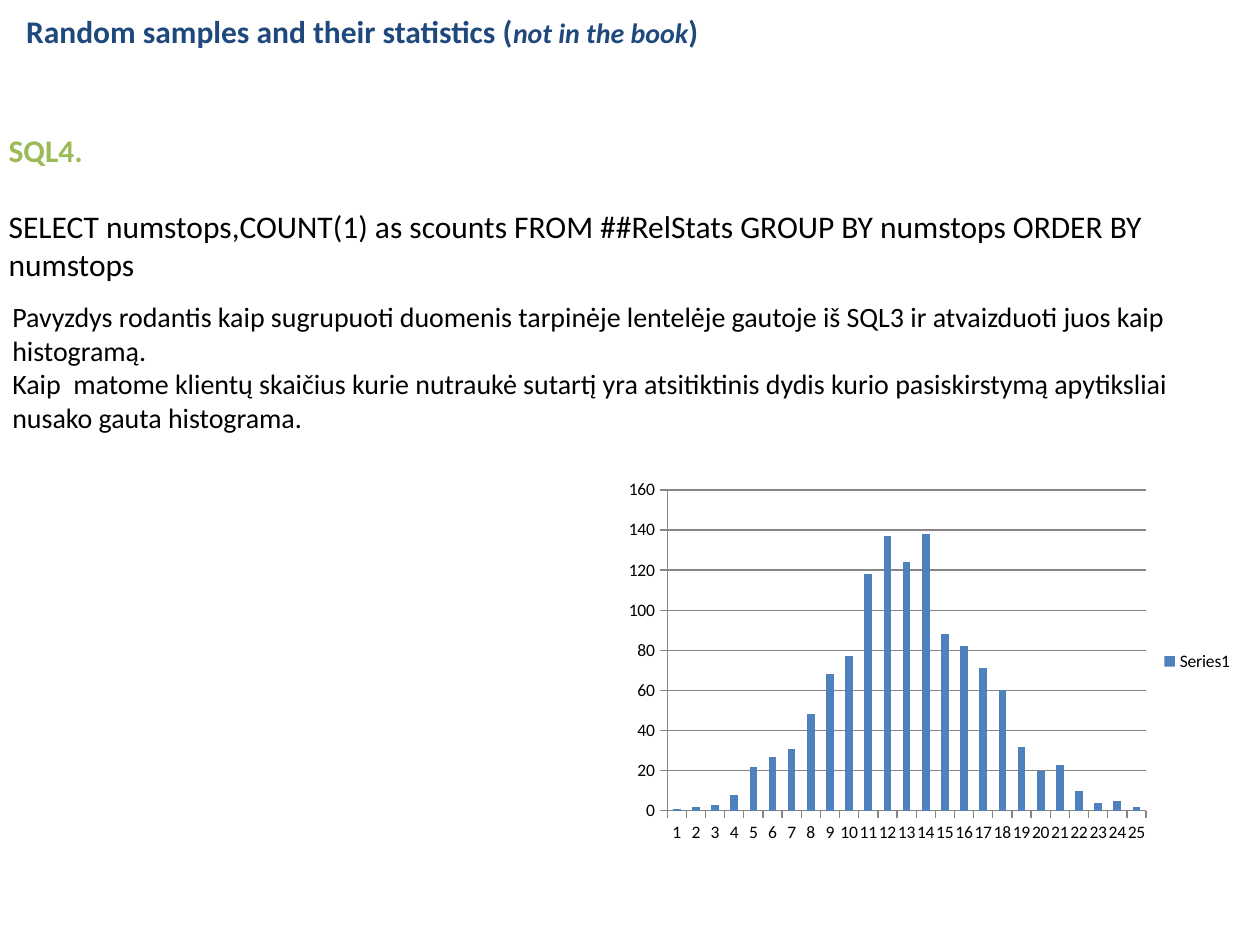
from pptx import Presentation
from pptx.chart.data import CategoryChartData
from pptx.dml.color import RGBColor
from pptx.enum.chart import XL_CHART_TYPE, XL_LEGEND_POSITION, XL_TICK_MARK
from pptx.enum.text import MSO_AUTO_SIZE
from pptx.util import Inches, Pt

COLUMNS = XL_CHART_TYPE.COLUMN_CLUSTERED
LEGEND_RIGHT = XL_LEGEND_POSITION.RIGHT
TICK_OUT = XL_TICK_MARK.OUTSIDE
FIT_SHAPE = MSO_AUTO_SIZE.SHAPE_TO_FIT_TEXT

COLORS = {"title": "1F497D", "label": "9BBB59", "text": "000000",
          "bar": "4F81BD", "axis": "868686"}
FONT = "Calibri"
STOP_COUNTS = [1, 2, 3, 8, 22, 27, 31, 48, 68, 77, 118, 137, 124, 138,
               88, 82, 71, 60, 32, 20, 23, 10, 4, 5, 2]


class SlideBuilder:
    def __init__(self, slide):
        self.s = slide

    def style(self, font, size, color="text", bold=False, italic=False):
        font.name, font.size = FONT, Pt(size)
        font.bold, font.italic = bold, italic
        font.color.rgb = RGBColor.from_string(COLORS[color])

    def text(self, left, top, width, height, paragraphs, wrap=True, gap=0):
        """Each paragraph is a list of (text, style) runs; gap is in points."""
        box = self.s.shapes.add_textbox(
            Inches(left), Inches(top), Inches(width), Inches(height))
        tf = box.text_frame
        tf.word_wrap = wrap
        tf.auto_size = FIT_SHAPE
        for i, runs in enumerate(paragraphs):
            p = tf.add_paragraph() if i else tf.paragraphs[0]
            p.space_before = Pt(gap if i else 0)
            for content, style in runs:
                r = p.add_run()
                r.text = content
                self.style(r.font, **style)

    def histogram(self, left, top, width, height, name, values):
        data = CategoryChartData()
        data.categories = [str(n) for n in range(1, len(values) + 1)]
        data.add_series(name, values)
        chart = self.s.shapes.add_chart(
            COLUMNS, Inches(left), Inches(top), Inches(width), Inches(height),
            data).chart
        self.style(chart.font, 10)
        chart.has_title = False
        chart.has_legend = True
        chart.legend.position = LEGEND_RIGHT
        chart.legend.include_in_layout = False

        plot = chart.plots[0]
        plot.gap_width = 150
        plot.vary_by_categories = False
        fill = plot.series[0].format.fill
        fill.solid()
        fill.fore_color.rgb = RGBColor.from_string(COLORS["bar"])

        axis = chart.value_axis
        axis.minimum_scale, axis.maximum_scale, axis.major_unit = 0, 160, 20
        axis.has_major_gridlines = True
        for line in (axis.format.line, axis.major_gridlines.format.line,
                     chart.category_axis.format.line):
            line.color.rgb = RGBColor.from_string(COLORS["axis"])
            line.width = Pt(0.75)
        for ax in (axis, chart.category_axis):
            ax.major_tick_mark = TICK_OUT


def main():
    prs = Presentation()
    prs.slide_width, prs.slide_height = Inches(10), Inches(7.5)
    b = SlideBuilder(prs.slides.add_slide(prs.slide_layouts[6]))

    title = {"size": 18, "color": "title", "bold": True}
    aside = {**title, "size": 16, "italic": True}
    label = {"size": 18, "color": "label", "bold": True}
    query = {"size": 18}
    body = {"size": 16}

    b.text(0.11, 0.05, 5.59, 0.4, [[
        ("Random samples and their statistics (", title),
        ("not in the book", aside),
        (")", title)]], wrap=False)
    b.histogram(4.89, 3.75, 5, 3, "Series1", STOP_COUNTS)
    b.text(-0.03, 0.99, 10.03, 1.31, [
        [("SQL4.", label)],
        [("SELECT numstops,COUNT(1) as scounts FROM ##RelStats "
          "GROUP BY numstops ORDER BY numstops", query)]], gap=22)
    b.text(0, 2.33, 9.86, 1.68, [
        [("Pavyzdys rodantis kaip sugrupuoti duomenis tarpinėje lentelėje "
          "gautoje iš SQL3 ir atvaizduoti juos kaip histogramą.", body)],
        [("Kaip  matome klientų skaičius kurie nutraukė sutartį yra "
          "atsitiktinis dydis kurio pasiskirstymą apytiksliai nusako gauta "
          "histograma.", body)]])
    prs.save("out.pptx")


if __name__ == "__main__":
    main()
